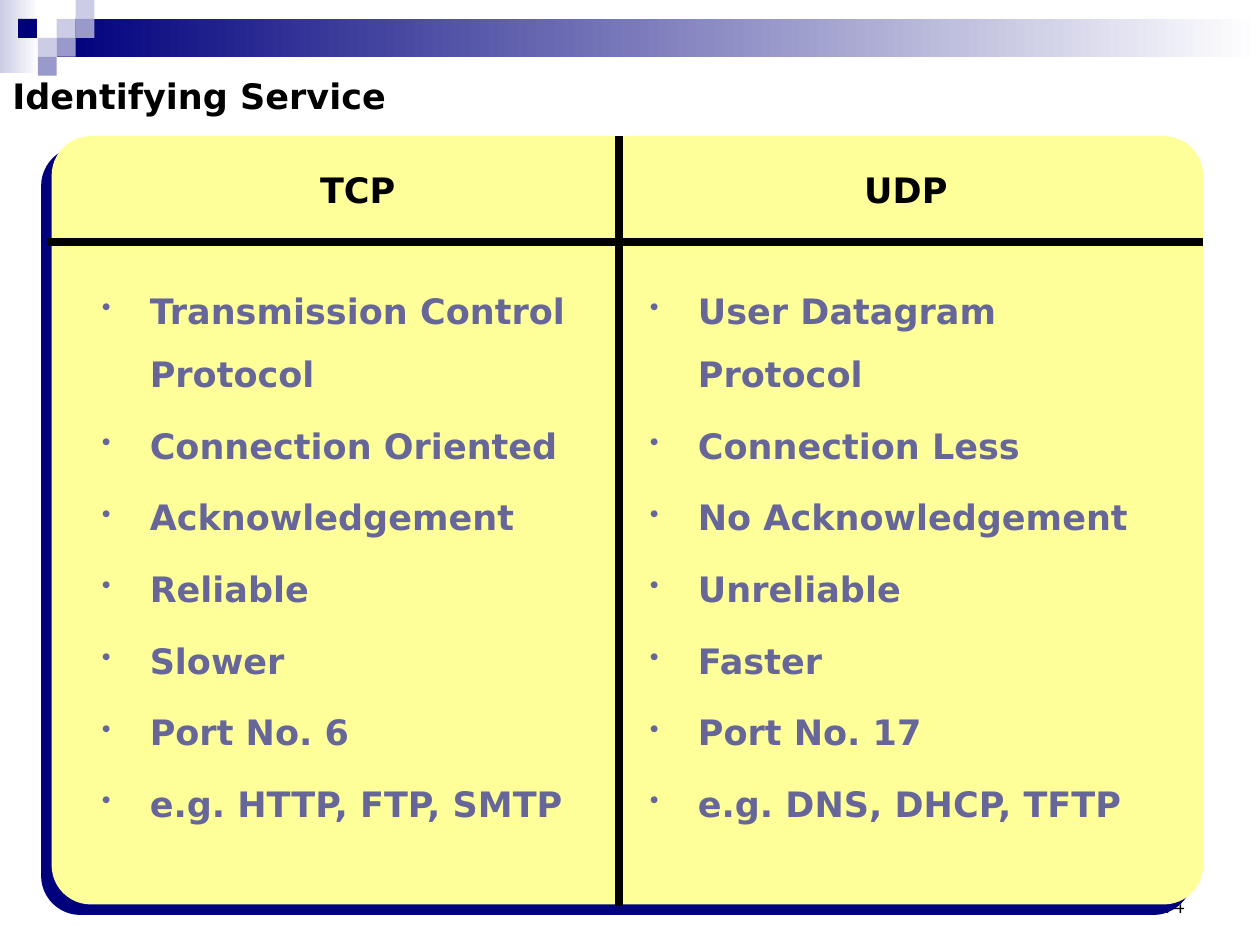
from lxml import etree
from pptx import Presentation
from pptx.dml.color import RGBColor
from pptx.enum.shapes import MSO_CONNECTOR, MSO_SHAPE
from pptx.enum.text import MSO_ANCHOR, PP_ALIGN
from pptx.oxml.ns import qn
from pptx.util import Pt

RECTANGLE = MSO_SHAPE.RECTANGLE
ROUNDED = MSO_SHAPE.ROUNDED_RECTANGLE
STRAIGHT = MSO_CONNECTOR.STRAIGHT
TOP, MIDDLE, BOTTOM = MSO_ANCHOR.TOP, MSO_ANCHOR.MIDDLE, MSO_ANCHOR.BOTTOM
LEFT, CENTER, RIGHT = PP_ALIGN.LEFT, PP_ALIGN.CENTER, PP_ALIGN.RIGHT

BLACK = RGBColor(0x00, 0x00, 0x00)
WHITE = RGBColor(0xFF, 0xFF, 0xFF)
NAVY = RGBColor(0x00, 0x00, 0x7D)
LAVENDER = RGBColor(0xCC, 0xCC, 0xE6)
PERIWINKLE = RGBColor(0x99, 0x99, 0xCC)
SLATE = RGBColor(0x66, 0x66, 0x99)
YELLOW = RGBColor(0xFF, 0xFF, 0x99)

TILE = 10.8
TILES = [
    (32.4, 10.8, LAVENDER), (43.2, 0, LAVENDER), (43.2, 10.8, PERIWINKLE),
    (21.6, 21.6, LAVENDER), (10.3, 10.8, NAVY), (32.4, 21.6, PERIWINKLE),
    (21.6, 32.4, PERIWINKLE),
]
COLUMN_WIDTH = 306.7
COLUMNS = [
    (51.1, "TCP", [
        "Transmission Control Protocol", "Connection Oriented",
        "Acknowledgement", "Reliable", "Slower", "Port No. 6",
        "e.g. HTTP, FTP, SMTP"]),
    (364.3, "UDP", [
        "User Datagram Protocol", "Connection Less", "No Acknowledgement",
        "Unreliable", "Faster", "Port No. 17", "e.g. DNS, DHCP, TFTP"]),
]


class SlidePainter:
    font = "DejaVu Sans"
    size = 20
    line_spacing = 1.5
    space_before = 5
    indent = 27.4

    def __init__(self, page):
        self.page = page

    def shape(self, kind, left, top, width, height, color):
        shape = self.page.shapes.add_shape(
            kind, Pt(left), Pt(top), Pt(width), Pt(height))
        shape.shadow.inherit = False
        shape.line.fill.background()
        shape.fill.solid()
        shape.fill.fore_color.rgb = color
        return shape

    def fading_bar(self, left, top, width, height, color):
        bar = self.shape(RECTANGLE, left, top, width, height, color)
        bar.fill.gradient()
        bar.fill.gradient_angle = 0
        for stop, stop_color in zip(bar.fill.gradient_stops, (color, WHITE)):
            stop.color.rgb = stop_color

    def card(self, left, top, width, height):
        """Draw the rounded panel with a hard shadow to its lower left."""
        card = self.shape(ROUNDED, left, top, width, height, YELLOW)
        card.adjustments[0] = 0.051
        effects = card._element.spPr.find(qn("a:effectLst"))
        shadow = etree.SubElement(
            effects, qn("a:outerShdw"), blurRad="0", dist=str(Pt(8.5)),
            dir=str(135 * 60000), algn="ctr", rotWithShape="0")
        etree.SubElement(shadow, qn("a:srgbClr"), val=str(NAVY))

    def text(self, left, top, width, height, lines, color=BLACK, anchor=TOP,
             align=LEFT, size=size, font=font, bold=True):
        box = self.page.shapes.add_textbox(
            Pt(left), Pt(top), Pt(width), Pt(height))
        frame = box.text_frame
        frame.word_wrap = True
        frame.vertical_anchor = anchor
        frame.text = "\n".join(lines)
        for para in frame.paragraphs:
            para.alignment = align
            for span in para.runs:
                span.font.name = font
                span.font.size = Pt(size)
                span.font.bold = bold
                span.font.color.rgb = color
        return frame

    def heading(self, left, top, width, height, wording):
        frame = self.text(left, top, width, height, [wording], align=CENTER)
        frame.paragraphs[0].line_spacing = self.line_spacing

    def bullets(self, left, top, width, height, lines):
        frame = self.text(left, top, width, height, lines, SLATE)
        for number, para in enumerate(frame.paragraphs):
            para.line_spacing = self.line_spacing
            if number:
                para.space_before = Pt(self.space_before)
            properties = para._p.get_or_add_pPr()
            properties.set("marL", str(Pt(self.indent)))
            properties.set("indent", str(-Pt(self.indent)))
            color = etree.SubElement(properties, qn("a:buClr"))
            etree.SubElement(color, qn("a:srgbClr"), val=str(SLATE))
            etree.SubElement(properties, qn("a:buSzPct"), val="75000")
            etree.SubElement(properties, qn("a:buChar"), char="•")

    def rule(self, x1, y1, x2, y2):
        line = self.page.shapes.add_connector(
            STRAIGHT, Pt(x1), Pt(y1), Pt(x2), Pt(y2))
        line.line.color.rgb = BLACK
        line.line.width = Pt(4.5)
        etree.SubElement(line._element.spPr, qn("a:effectLst"))


def main():
    deck = Presentation()
    deck.slide_width, deck.slide_height = Pt(720), Pt(540)
    painter = SlidePainter(deck.slides.add_slide(deck.slide_layouts[6]))

    painter.fading_bar(0, 0, 22.3, 41.8, LAVENDER)
    painter.fading_bar(32.4, 10.8, 687.6, 21.6, NAVY)
    for left, top, color in TILES:
        painter.shape(RECTANGLE, left, top, TILE, TILE, color)

    painter.text(516, 492, 168, 36, ["14"], anchor=BOTTOM, align=RIGHT,
                 size=12, font="Montserrat", bold=False)
    painter.text(0, 36.7, 363, 36, ["Identifying Service"], anchor=MIDDLE)

    painter.card(29.5, 77.8, 658, 439)
    for left, title, points in COLUMNS:
        painter.bullets(left, 149.8, COLUMN_WIDTH, 380, points)
        painter.heading(left, 80.6, COLUMN_WIDTH, 51, title)
    painter.rule(353.6, 77.8, 353.6, 517.5)
    painter.rule(26.6, 138.2, 687.5, 138.2)

    deck.save("out.pptx")


if __name__ == "__main__":
    main()
